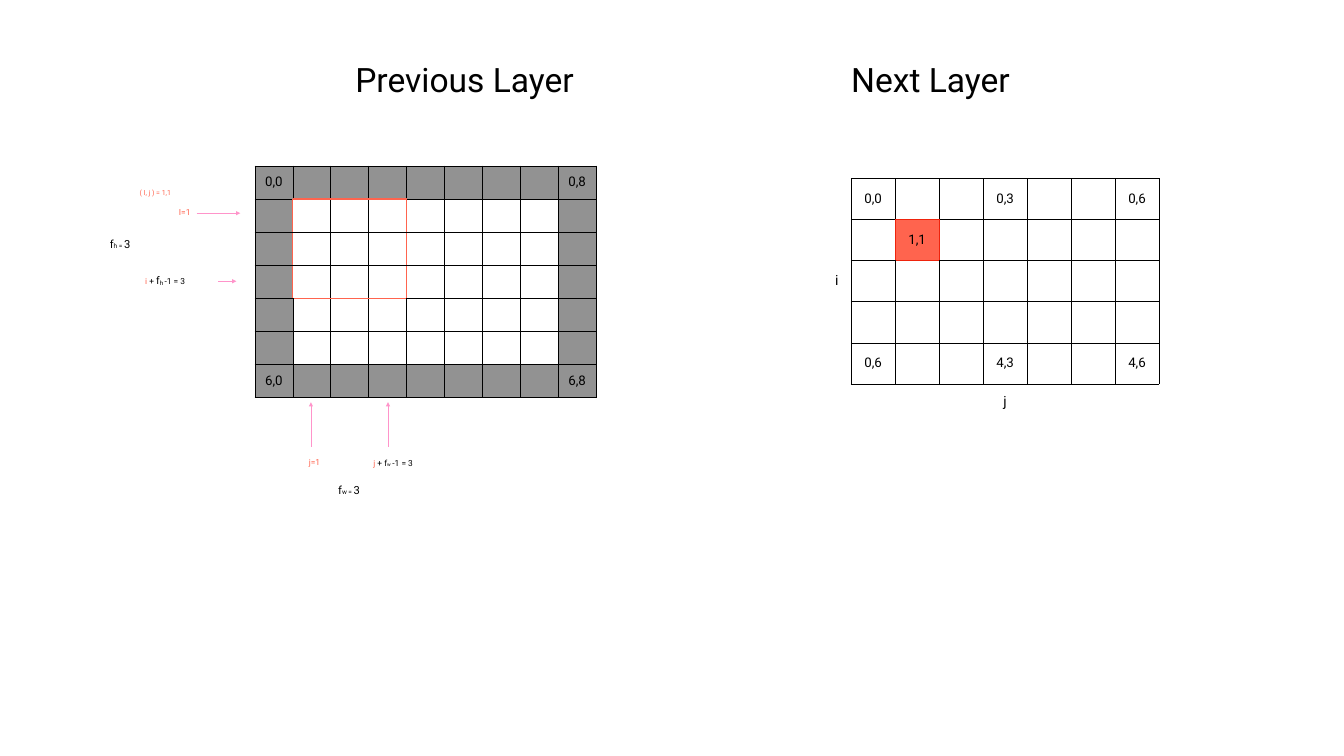
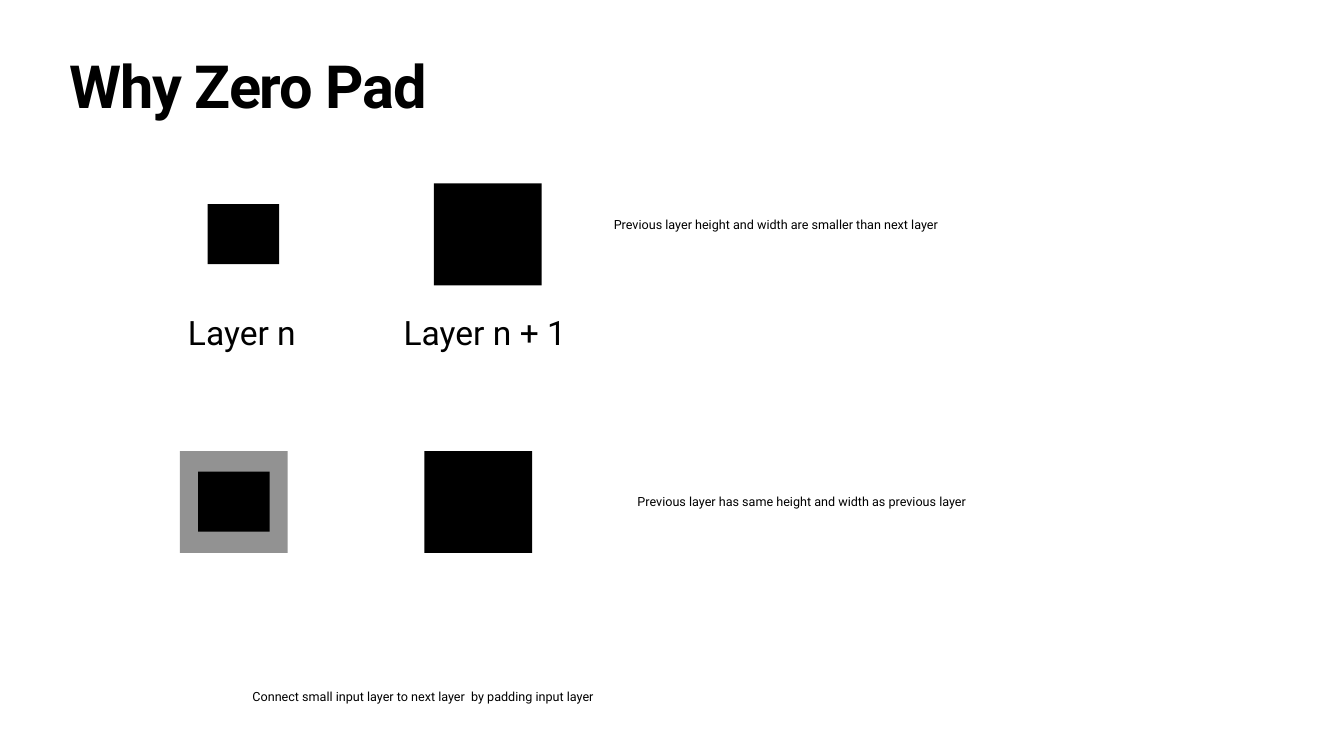
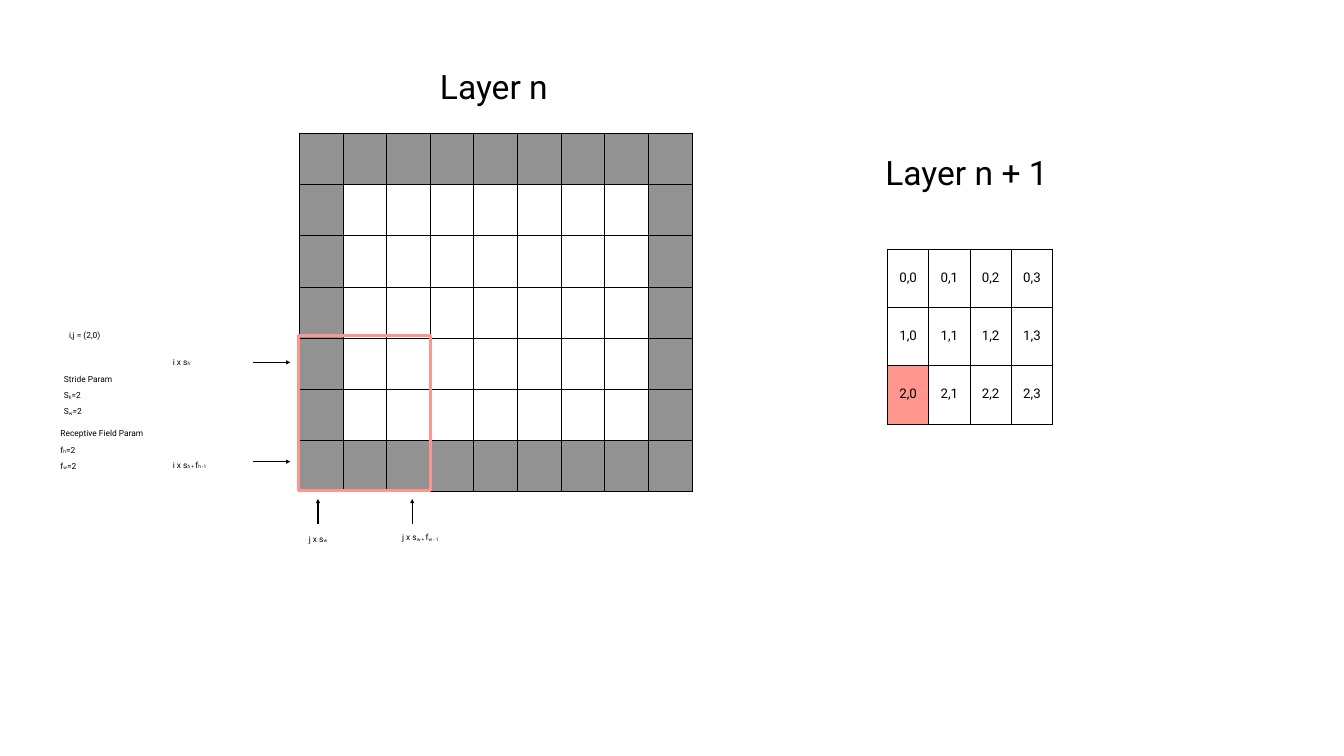
from typing import NamedTuple

from lxml.etree import SubElement
from pptx import Presentation
from pptx.dml.color import RGBColor
from pptx.enum.shapes import MSO_CONNECTOR, MSO_SHAPE
from pptx.enum.text import MSO_ANCHOR, MSO_AUTO_SIZE, PP_ALIGN
from pptx.oxml.ns import qn
from pptx.util import Emu, Pt

BLACK = RGBColor(0x00, 0x00, 0x00)
PADDING_GREY = RGBColor(0x92, 0x92, 0x92)
CORAL = RGBColor(0xFF, 0x64, 0x4E)
DEEP_RED = RGBColor(0xEE, 0x23, 0x0C)
SALMON = RGBColor(0xFF, 0x96, 0x8D)
PINK = RGBColor(0xFF, 0x94, 0xCA)

FONT = "Roboto"
INSET = 6
HEADING_SIZE = 48
NOTE_SIZE = 18
INDEX_SIZE = 19
FORMULA_SIZE = 12
SIDES = {"L": (0, -1), "R": (0, 1), "T": (-1, 0), "B": (1, 0)}


def px(length):
    """Turn px, 100 to the inch, into EMU."""
    return Emu(length * 9144)


class Box(NamedTuple):
    left: int
    top: int
    width: int
    height: int

    def at(self, dx, dy, width, height):
        """Return a box offset from this one's top left corner."""
        return Box(self.left + dx, self.top + dy, width, height)

    def emu(self):
        return [px(length) for length in self]


class Run(NamedTuple):
    text: str
    size: int = None
    color: RGBColor = None
    subscript: bool = False


def sub(text, size=None):
    return Run(text, size, subscript=True)


class Window(NamedTuple):
    """Block of cells whose outer edge has its own line."""
    rows: range
    columns: range
    color: RGBColor
    line_width: int

    def holds(self, row, column):
        return row in self.rows and column in self.columns


def set_insets(holder):
    holder.margin_left = holder.margin_right = px(INSET)
    holder.margin_top = holder.margin_bottom = px(INSET)


def style_paragraph(paragraph, size, color=BLACK, spacing=0.9):
    paragraph.line_spacing = spacing
    paragraph.font.name = FONT
    paragraph.font.size = Pt(size)
    paragraph.font.color.rgb = color


def add_run(paragraph, part):
    part = Run(part) if isinstance(part, str) else part
    run = paragraph.add_run()
    run.text = part.text
    if part.size:
        run.font.size = Pt(part.size)
    if part.color is not None:
        run.font.color.rgb = part.color
    if part.subscript:
        run.font._element.set("baseline", "-5999")


def add_label(slide, box, *lines, size=FORMULA_SIZE, color=BLACK, wrap=False):
    """Add text; each line is a string or a list of strings and Runs."""
    frame = slide.shapes.add_textbox(*box.emu()).text_frame
    frame.word_wrap = wrap
    frame.auto_size = MSO_AUTO_SIZE.SHAPE_TO_FIT_TEXT
    frame.vertical_anchor = MSO_ANCHOR.MIDDLE
    set_insets(frame)
    for number, line in enumerate(lines):
        paragraph = frame.add_paragraph() if number else frame.paragraphs[0]
        style_paragraph(paragraph, size, color)
        if number:
            paragraph.space_before = Pt(10)
        for part in [line] if isinstance(line, str) else line:
            add_run(paragraph, part)


def add_heading(slide, box, text):
    add_label(slide, box, text, size=HEADING_SIZE)


def add_title(slide, box, text):
    frame = slide.shapes.add_textbox(*box.emu()).text_frame
    frame.word_wrap = True
    set_insets(frame)
    paragraph = frame.paragraphs[0]
    style_paragraph(paragraph, 85, spacing=0.8)
    paragraph.font.bold = True
    run = paragraph.add_run()
    run.text = text
    run.font._element.set("spc", "-170")


def add_rectangle(slide, box, fill=None, line=None):
    rectangle = slide.shapes.add_shape(MSO_SHAPE.RECTANGLE, *box.emu())
    rectangle.shadow.inherit = False
    if fill is None:
        rectangle.fill.background()
    else:
        rectangle.fill.solid()
        rectangle.fill.fore_color.rgb = fill
    if line is None:
        rectangle.line.fill.background()
    else:
        rectangle.line.color.rgb = line
        rectangle.line.width = Pt(4)


def add_arrow(slide, box, start, end, color, width):
    """Draw an arrow between two points relative to the box."""
    points = [px(origin + offset) for point in (start, end)
              for origin, offset in zip(box[:2], point)]
    arrow = slide.shapes.add_connector(MSO_CONNECTOR.STRAIGHT, *points)
    arrow.line.color.rgb = color
    arrow.line.width = Pt(width)
    SubElement(arrow.line._get_or_add_ln(), qn("a:tailEnd"), type="triangle")
    SubElement(arrow._element.spPr, qn("a:effectLst"))


def draw_borders(cell, row, column, window):
    properties = cell._tc.get_or_add_tcPr()
    for side, (down, across) in SIDES.items():
        color, width = BLACK, 1
        if window and (window.holds(row, column)
                       != window.holds(row + down, column + across)):
            color, width = window.color, window.line_width
        line = SubElement(properties, qn(f"a:ln{side}"), w=str(Pt(width)))
        fill = SubElement(line, qn("a:solidFill"))
        SubElement(fill, qn("a:srgbClr"), val=str(color))


def add_grid(slide, box, rows, columns, indices, fills, window=None):
    """Add a layer; indices and fills are keyed by (row, column)."""
    table = slide.shapes.add_table(rows, columns, *box.emu()).table
    table.first_row = table.horz_banding = False
    for column in table.columns:
        column.width = px(box.width) // columns
    for row in table.rows:
        row.height = px(box.height) // rows
    for place in all_cells(rows, columns):
        cell = table.cell(*place)
        draw_borders(cell, *place, window)
        if place in fills:
            cell.fill.solid()
            cell.fill.fore_color.rgb = fills[place]
        else:
            cell.fill.background()
        set_insets(cell)
        cell.vertical_anchor = MSO_ANCHOR.MIDDLE
        if place in indices:
            paragraph = cell.text_frame.paragraphs[0]
            paragraph.alignment = PP_ALIGN.CENTER
            style_paragraph(paragraph, INDEX_SIZE)
            add_run(paragraph, indices[place])


def all_cells(rows, columns):
    return [(row, column) for row in range(rows) for column in range(columns)]


def zero_padding(rows, columns):
    return {(row, column): PADDING_GREY for row, column in all_cells(rows, columns)
            if row in (0, rows - 1) or column in (0, columns - 1)}


def previous_layer(slide, box):
    corners = {(0, 0): "0,0", (0, 8): "0,8", (6, 0): "6,0", (6, 8): "6,8"}
    add_grid(slide, box, 7, 9, corners, zero_padding(7, 9),
             Window(range(1, 4), range(1, 4), CORAL, 2))
    add_heading(slide, box.at(193, -212, 452, 88), "Previous Layer")
    add_label(slide, box.at(-294, 139, 57, 35), ["f", sub("h = "), "3"], size=16)
    add_label(slide, box.at(159, 627, 60, 35), ["f", sub("w = "), "3"], size=16)
    add_label(slide, box.at(-224, 212, 98, 34),
              [Run("i ", color=CORAL), "+ ", Run("f", 15), sub("h ", 15), "-1 = 3"])
    add_label(slide, box.at(-157, 79, 36, 30), "I=1", color=CORAL)
    add_label(slide, box.at(101, 574, 40, 30), "j=1", color=CORAL)
    add_label(slide, box.at(229, 572, 97, 34),
              [Run("j ", color=CORAL), "+ f", sub("w"), sub(" ", 15), "-1 = 3"])
    add_label(slide, box.at(-235, 41, 77, 27), "( I, j ) = 1,1", size=10, color=CORAL)
    for start, end in [((-116, 94), (-29, 94)), ((-73, 229), (-37, 229)),
                       ((111, 557), (111, 469)), ((264, 557), (264, 469))]:
        add_arrow(slide, box, start, end, PINK, 1)


def next_layer(slide, box):
    indices = {(0, 0): "0,0", (0, 3): "0,3", (0, 6): "0,6", (1, 1): "1,1",
               (4, 0): "0,6", (4, 3): "4,3", (4, 6): "4,6"}
    add_grid(slide, box, 5, 7, indices, {(1, 1): CORAL},
             Window(range(1, 2), range(1, 2), DEEP_RED, 1))
    add_heading(slide, box.at(-6, -237, 335, 88), "Next Layer")
    add_label(slide, box.at(-38, 182, 19, 44), "i", size=20)
    add_label(slide, box.at(296, 421, 19, 44), "j", size=20)


def layer_pair(slide, box, padding=None):
    """Draw a small layer, padded if a colour is given, beside a large one."""
    if padding is not None:
        add_rectangle(slide, box, padding)
    add_rectangle(slide, box.at(36, 41, 142, 119), BLACK)
    add_rectangle(slide, box.at(485, 0, box.width, box.height), BLACK)


def parameter_list(slide, box, heading, symbol):
    values = [[symbol, sub(axis), "=2"] for axis in "hw"]
    add_label(slide, box, heading, *values)


def strided_layer(slide, box):
    add_grid(slide, box, 7, 9, {}, zero_padding(7, 9))
    add_heading(slide, box.at(273, -133, 232, 88), "Layer n")
    add_rectangle(slide, box.at(-2, 401, 262, 307), line=SALMON)
    for y in (454, 651):
        add_arrow(slide, box, (-91, y), (-18, y), BLACK, 2)
    for x in (37, 224):
        add_arrow(slide, box, (x, 774), (x, 725), BLACK, 2)
    add_label(slide, box.at(-257, 439, 49, 30), ["i x s", sub("h")])
    add_label(slide, box.at(-257, 644, 86, 30),
              ["i x s", sub("h + "), "f", sub("h -1")])
    add_label(slide, box.at(13, 791, 51, 30), ["j x s", sub("w")])
    add_label(slide, box.at(198, 788, 97, 30),
              ["j x s", sub("w + "), "f", sub("w - 1")])
    add_label(slide, box.at(-463, 387, 76, 30), "i,j = (2,0)")
    parameter_list(slide, box.at(-473, 474, 110, 93), "Stride Param", "S")
    parameter_list(slide, box.at(-480, 582, 180, 93), "Receptive Field Param", "f")


def reduced_layer(slide, box):
    indices = {(row, column): f"{row},{column}" for row, column in all_cells(3, 4)}
    add_grid(slide, box, 3, 4, indices, {(2, 0): SALMON})
    add_heading(slide, box.at(-10, -192, 346, 88), "Layer n + 1")


def receptive_field_slide(slide):
    next_layer(slide, Box(1689, 354, 611, 408))
    previous_layer(slide, Box(506, 329, 677, 460))


def zero_pad_slide(slide):
    add_title(slide, Box(132, 118, 2403, 157), "Why Zero Pad")
    unpadded = Box(376, 364, 214, 202)
    layer_pair(slide, unpadded)
    add_heading(slide, unpadded.at(-9, 256, 232, 88), "Layer n")
    add_heading(slide, unpadded.at(419, 256, 346, 88), "Layer n + 1")
    padded = Box(357, 895, 214, 202)
    layer_pair(slide, padded, PADDING_GREY)
    notes = [
        (padded.at(902, 81, 689, 41),
         "Previous layer has same height and width as previous layer"),
        (unpadded.at(836, 62, 689, 41),
         "Previous layer height and width are smaller than next layer"),
        (Box(495, 1364, 756, 41),
         "Connect small input layer to next layer  by padding input layer"),
    ]
    for box, note in notes:
        add_label(slide, box, note, size=NOTE_SIZE, wrap=True)


def stride_slide(slide):
    strided_layer(slide, Box(594, 265, 779, 710))
    reduced_layer(slide, Box(1761, 494, 328, 347))


def main():
    deck = Presentation()
    deck.slide_width, deck.slide_height = px(2667), px(1500)
    blank = deck.slide_layouts[6]
    for build in (receptive_field_slide, zero_pad_slide, stride_slide):
        build(deck.slides.add_slide(blank))
    deck.save("out.pptx")


if __name__ == "__main__":
    main()
